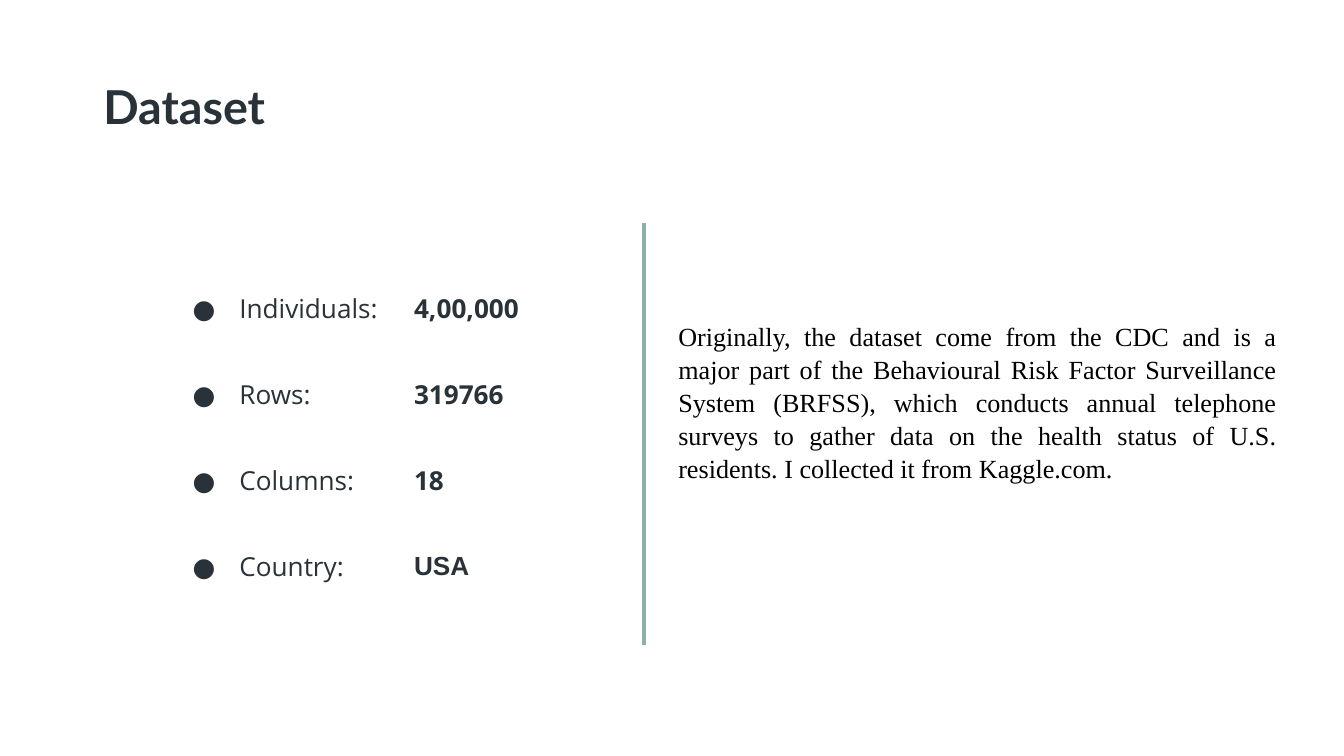
from dataclasses import dataclass

from lxml import etree
from pptx import Presentation
from pptx.dml.color import RGBColor
from pptx.enum.shapes import MSO_CONNECTOR
from pptx.enum.text import MSO_ANCHOR, MSO_AUTO_SIZE, PP_ALIGN
from pptx.oxml.ns import qn
from pptx.slide import Slide
from pptx.table import Table, _Cell
from pptx.text.text import _Paragraph
from pptx.util import Pt

MIDDLE = MSO_ANCHOR.MIDDLE
LEFT, JUSTIFY = PP_ALIGN.LEFT, PP_ALIGN.JUSTIFY
NO_AUTOFIT = MSO_AUTO_SIZE.NONE
STRAIGHT = MSO_CONNECTOR.STRAIGHT

INK = RGBColor(0x28, 0x32, 0x38)
SAGE = RGBColor(0x8D, 0xB1, 0xA7)
BLACK = RGBColor(0, 0, 0)

PADDING = 7.2
TITLE_ONLY = 5
PLAIN_TABLE_STYLE = "{2D5ABB26-0587-4C30-8999-92F81FD0307C}"


@dataclass
class Fact:
    label: str
    value: str
    value_font: str = "Open Sans"


@dataclass
class Grid:
    left: float
    top: float
    columns: list[float]
    rows: list[float]


FACTS = [
    Fact("Individuals:", "4,00,000"),
    Fact("Rows:", "319766"),
    Fact("Columns:", "18"),
    Fact("Country:", "USA", "Arial"),
]
FACT_GRID = Grid(85, 142, [129.6, 121], [46.2] * 5)
SOURCE_GRID = Grid(210, 163.4, [146.2, 335.2], [55.4, 33.8, 33.8])
SOURCE_NOTE = (
    "Originally, the dataset come from the CDC and is a major part of the "
    "Behavioural Risk Factor Surveillance System (BRFSS), which conducts annual "
    "telephone surveys to gather data on the health status of U.S. "
    "residents.\u00a0I collected it from Kaggle.com."
)


def style_text(paragraph: _Paragraph, name: str, size: float,
               color: RGBColor, bold: bool = False) -> None:
    for run in paragraph.runs:
        run.font.name = name
        run.font.size = Pt(size)
        run.font.bold = bold
        run.font.color.rgb = color


def add_plain_table(slide: Slide, grid: Grid) -> Table:
    """Add a table without borders or fills."""
    frame = slide.shapes.add_table(
        len(grid.rows), len(grid.columns), Pt(grid.left), Pt(grid.top),
        Pt(sum(grid.columns)), Pt(sum(grid.rows)))
    table = frame.table
    table.first_row = table.horz_banding = False
    table._tbl.tblPr.find(qn("a:tableStyleId")).text = PLAIN_TABLE_STYLE
    for column, width in zip(table.columns, grid.columns):
        column.width = Pt(width)
    for row, height in zip(table.rows, grid.rows):
        row.height = Pt(height)
    for cell in table.iter_cells():
        cell.fill.background()
        cell.vertical_anchor = MIDDLE
        cell.margin_left = cell.margin_right = Pt(PADDING)
        cell.margin_top = cell.margin_bottom = Pt(PADDING)
    return table


def write_cell(cell: _Cell, text: str, name: str, color: RGBColor,
               bold: bool = False) -> _Paragraph:
    cell.text_frame.text = text
    paragraph = cell.text_frame.paragraphs[0]
    style_text(paragraph, name, 14, color, bold)
    return paragraph


def add_bullet(paragraph: _Paragraph) -> None:
    properties = paragraph._p.get_or_add_pPr()
    properties.set("marL", str(Pt(36)))
    properties.set("indent", str(Pt(-25)))
    bullet_color = etree.SubElement(properties, qn("a:buClr"))
    etree.SubElement(bullet_color, qn("a:srgbClr"), val=str(INK))
    etree.SubElement(properties, qn("a:buFont"), typeface="Open Sans")
    etree.SubElement(properties, qn("a:buChar"), char="●")


def add_title(slide: Slide) -> None:
    title = slide.shapes.title
    title.left, title.top = Pt(48.2), Pt(33.1)
    title.width, title.height = Pt(615.6), Pt(46.8)
    frame = title.text_frame
    frame.text = "Dataset"
    frame.auto_size = NO_AUTOFIT
    frame.vertical_anchor = MIDDLE
    frame.margin_left = frame.margin_right = Pt(PADDING)
    frame.margin_top = frame.margin_bottom = Pt(PADDING)
    frame.paragraphs[0].alignment = LEFT
    style_text(frame.paragraphs[0], "Lato", 25, INK, bold=True)


def add_divider(slide: Slide) -> None:
    divider = slide.shapes.add_connector(
        STRAIGHT, Pt(344.9), Pt(119.5), Pt(344.9), Pt(345.6))
    divider.line.color.rgb = SAGE
    divider.line.width = Pt(2.25)
    etree.SubElement(divider._element.spPr, qn("a:effectLst"))


def add_facts(slide: Slide) -> None:
    table = add_plain_table(slide, FACT_GRID)
    for row, fact in enumerate(FACTS):
        label = write_cell(table.cell(row, 0), fact.label, "Open Sans", INK)
        add_bullet(label)
        value = write_cell(table.cell(row, 1), fact.value, fact.value_font, INK, bold=True)
        value.space_after = Pt(16)


def add_source_note(slide: Slide) -> None:
    table = add_plain_table(slide, SOURCE_GRID)
    note = write_cell(table.cell(0, 1), SOURCE_NOTE, "Times New Roman", BLACK)
    note.alignment = JUSTIFY
    note.line_spacing = 1.15
    note.space_after = Pt(16)


def main() -> None:
    presentation = Presentation()
    presentation.slide_width, presentation.slide_height = Pt(720), Pt(405)
    slide = presentation.slides.add_slide(presentation.slide_layouts[TITLE_ONLY])
    add_title(slide)
    add_divider(slide)
    add_facts(slide)
    add_source_note(slide)
    presentation.save("out.pptx")


if __name__ == "__main__":
    main()
